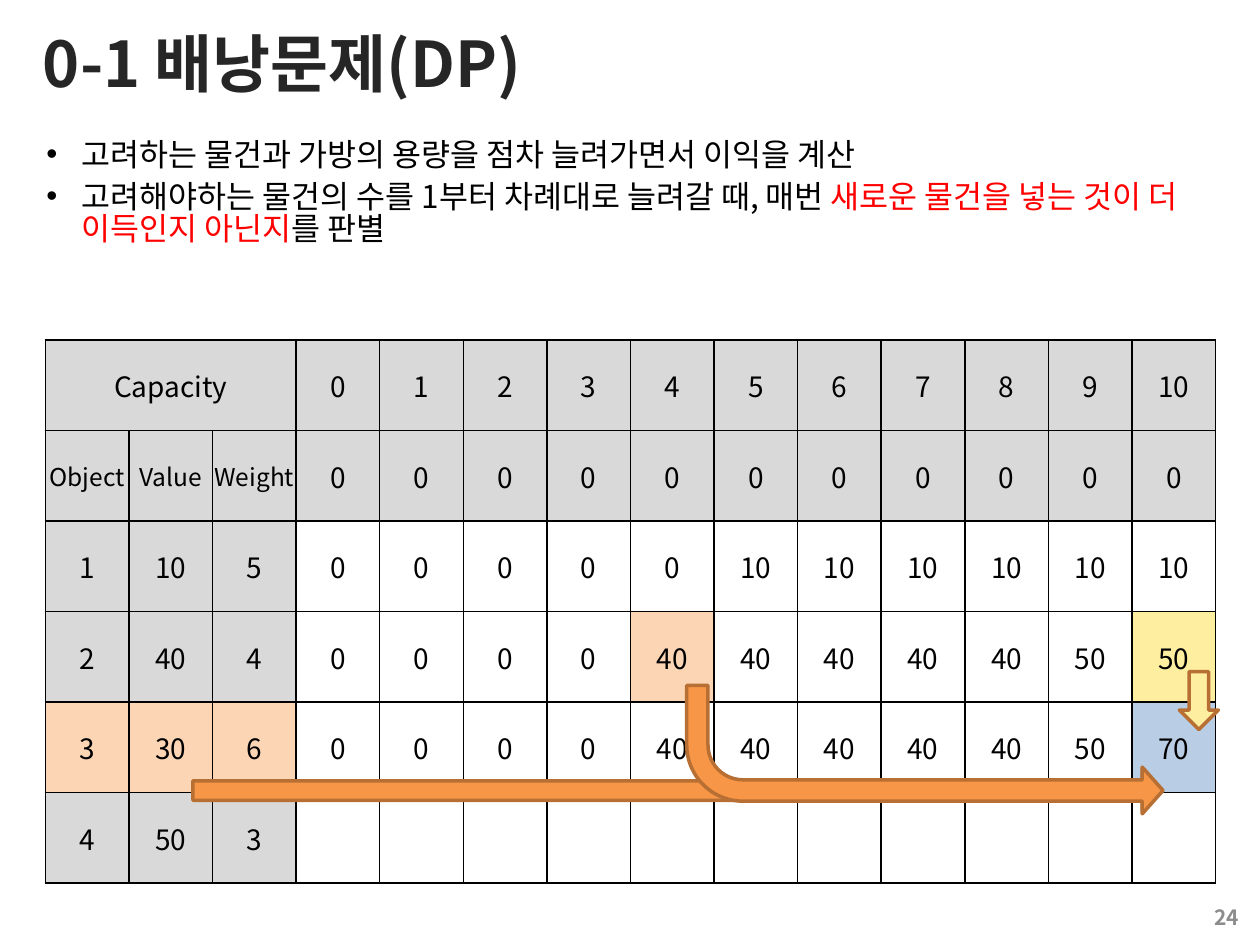
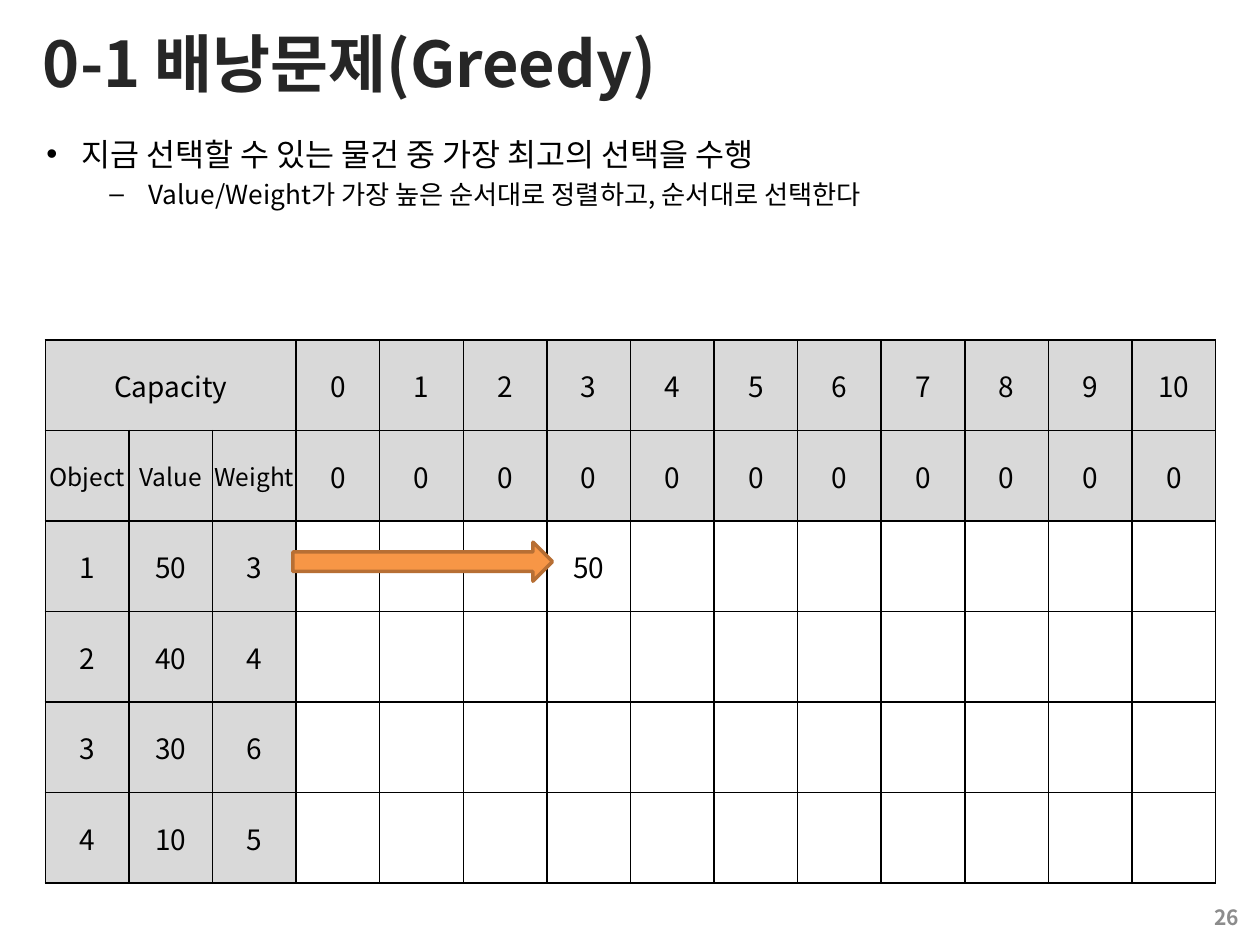
from lxml.etree import SubElement
from pptx import Presentation
from pptx.dml.color import RGBColor
from pptx.enum.shapes import MSO_SHAPE
from pptx.enum.text import MSO_ANCHOR, MSO_AUTO_SIZE, PP_ALIGN
from pptx.oxml.ns import qn
from pptx.util import Pt

FONT = "Noto Sans CJK KR"
COLORS = {
    "title": "262626", "text": "000000", "accent": "FF0000", "page": "8C8C8C",
    "header": "D9D9D9", "item": "FCD5B5", "previous": "FEEEA0", "result": "B9CDE5",
    "arrow": "F79646", "arrow_line": "B76F34",
}

# Content: a bullet is (level, [(text, colour), ...])
HEADER_ROWS = [
    ["Capacity", "", ""] + list(range(11)),
    ["Object", "Value", "Weight"] + [0] * 11,
]
SLIDES = [
    {
        "title": "0-1 배낭문제(DP)",
        "page": "24",
        "bullets": [
            (0, [("고려하는 물건과 가방의 용량을 점차 늘려가면서 이익을 계산", "text")]),
            (0, [("고려해야하는 물건의 수를 1부터 차례대로 늘려갈 때, 매번 ", "text"),
                 ("새로운 물건을 넣는 것이 더 이득인지 아닌지", "accent"),
                 ("를 판별", "text")]),
        ],
        "rows": [
            [1, 10, 5] + [0] * 5 + [10] * 6,
            [2, 40, 4] + [0] * 4 + [40] * 5 + [50] * 2,
            [3, 30, 6] + [0] * 4 + [40] * 5 + [50, 70],
            [4, 50, 3],
        ],
        "marks": {(3, 7): "item", (3, 13): "previous", (4, 0): "item",
                  (4, 1): "item", (4, 2): "item", (4, 13): "result"},
        # kind, (left, top, width, height), fill
        "arrows": [
            ("down", (673.9, 383.8, 22.3, 33.1), "previous"),
            ("right", (110.2, 440.6, 553.7, 22.3), "arrow"),
            ("bent", (392.4, 391.7, 272.2, 73.4), "arrow"),
        ],
    },
    {
        "title": "0-1 배낭문제(Greedy)",
        "page": "26",
        "bullets": [
            (0, [("지금 선택할 수 있는 물건 중 가장 최고의 선택을 수행", "text")]),
            (1, [("Value/Weight가 가장 높은 순서대로 정렬하고, 순서대로 선택한다", "text")]),
        ],
        "rows": [
            [1, 50, 3, "", "", "", 50],
            [2, 40, 4],
            [3, 30, 6],
            [4, 10, 5],
        ],
        "marks": {},
        "arrows": [("right", (167.4, 309.8, 148.3, 22.3), "arrow")],
    },
]

# Shared layout
TITLE_BOX = (17.3, 0.7, 684.7, 69.8)
BODY_BOX = (19.4, 77, 681.1, 438.5)
PAGE_BOX = (547.2, 509.8, 167.8, 28.8)
TABLE_BOX = (25.9, 194.4, 668.9, 310.3)
COLUMNS, LABEL_COLUMNS = 14, 3
BULLETS = [  # by level
    {"char": "•", "size": 18, "left": 20.2, "hang": 20.2},
    {"char": "–", "size": 15, "left": 58.3, "hang": 22.3},
]
BENT_ADJUSTMENTS = (0.166, 0.182, 0.162, 0.438)


def rgb(name):
    return RGBColor.from_string(COLORS[name])


def points(box):
    return [Pt(v) for v in box]


def add_run(p, text, size, color="text", bold=False):
    r = p.add_run()
    r.text = text
    for name, value in {"name": FONT, "size": Pt(size), "bold": bold}.items():
        setattr(r.font, name, value)
    r.font.color.rgb = rgb(color)
    SubElement(r.font._element, qn("a:ea"), typeface=FONT)


def add_title(s, text):
    sp = s.shapes.title
    sp.left, sp.top, sp.width, sp.height = points(TITLE_BOX)
    tf = sp.text_frame
    tf.auto_size = MSO_AUTO_SIZE.NONE
    tf.vertical_anchor = MSO_ANCHOR.MIDDLE
    p = tf.paragraphs[0]
    p.alignment = PP_ALIGN.LEFT
    add_run(p, text, 36, "title", True)


def add_bullets(s, bullets):
    tf = s.shapes.add_textbox(*points(BODY_BOX)).text_frame
    tf.word_wrap = True
    for i, (level, parts) in enumerate(bullets):
        p = tf.paragraphs[0] if i == 0 else tf.add_paragraph()
        style = BULLETS[level]
        pPr = p._p.get_or_add_pPr()
        pPr.set("marL", str(Pt(style["left"])))
        pPr.set("indent", str(-Pt(style["hang"])))
        SubElement(pPr, qn("a:buFont"), typeface="Arial")
        SubElement(pPr, qn("a:buChar"), char=style["char"])
        p.level = level
        p.line_spacing = 0.84
        p.space_before = Pt(3 if i else 0)
        p.space_after = Pt(3)
        for text, color in parts:
            add_run(p, text, style["size"], color)


def add_page_number(s, text):
    tf = s.shapes.add_textbox(*points(PAGE_BOX)).text_frame
    tf.word_wrap = True
    tf.vertical_anchor = MSO_ANCHOR.MIDDLE
    p = tf.paragraphs[0]
    p.alignment = PP_ALIGN.RIGHT
    add_run(p, text, 12, "page", True)


def add_borders(cell):
    tcPr = cell._tc.get_or_add_tcPr()
    for i, side in enumerate(("lnL", "lnR", "lnT", "lnB")):
        ln = tcPr.makeelement(qn(f"a:{side}"), {"w": str(Pt(1))})
        fill = SubElement(ln, qn("a:solidFill"))
        SubElement(fill, qn("a:srgbClr"), val=COLORS["text"])
        tcPr.insert(i, ln)


def add_capacity_table(s, item_rows, marks):
    rows = HEADER_ROWS + item_rows
    left, top, width, height = points(TABLE_BOX)
    table = s.shapes.add_table(len(rows), COLUMNS, left, top, width, height).table
    table.first_row = table.horz_banding = False
    for column in table.columns:
        column.width = width // COLUMNS
    for row in table.rows:
        row.height = height // len(rows)
    for i, values in enumerate(rows):
        for j in range(COLUMNS):
            cell = table.cell(i, j)
            for side in ("left", "right", "top", "bottom"):
                setattr(cell, f"margin_{side}", 0)
            cell.vertical_anchor = MSO_ANCHOR.MIDDLE
            is_header = i < len(HEADER_ROWS) or j < LABEL_COLUMNS
            color = marks.get((i, j), "header" if is_header else None)
            if color:
                cell.fill.solid()
                cell.fill.fore_color.rgb = rgb(color)
            else:
                cell.fill.background()
            add_borders(cell)
            p = cell.text_frame.paragraphs[0]
            p.alignment = PP_ALIGN.CENTER
            if j < len(values) and values[j] != "":
                add_run(p, str(values[j]), 14 if i == 1 and j < LABEL_COLUMNS else 16)
    table.cell(0, 0).merge(table.cell(0, LABEL_COLUMNS - 1))


def add_arrow(s, kind, box, color):
    left, top, width, height = box
    if kind == "right":  # a down arrow turned about its centre
        left, top = left + (width - height) / 2, top + (height - width) / 2
        width, height = height, width
    preset = MSO_SHAPE.BENT_ARROW if kind == "bent" else MSO_SHAPE.DOWN_ARROW
    sp = s.shapes.add_shape(preset, *points((left, top, width, height)))
    if kind == "right":
        sp.rotation = 270
    if kind == "bent":
        sp._element.spPr.xfrm.set("flipV", "1")
        for i, value in enumerate(BENT_ADJUSTMENTS):
            sp.adjustments[i] = value
    sp.shadow.inherit = False
    sp.fill.solid()
    sp.fill.fore_color.rgb = rgb(color)
    sp.line.color.rgb = rgb("arrow_line")
    sp.line.width = Pt(2)


def main():
    prs = Presentation()
    prs.slide_width, prs.slide_height = Pt(720), Pt(540)
    for content in SLIDES:
        s = prs.slides.add_slide(prs.slide_layouts[5])
        add_title(s, content["title"])
        add_bullets(s, content["bullets"])
        add_page_number(s, content["page"])
        add_capacity_table(s, content["rows"], content["marks"])
        for arrow in content["arrows"]:
            add_arrow(s, *arrow)
    prs.save("out.pptx")


if __name__ == "__main__":
    main()
